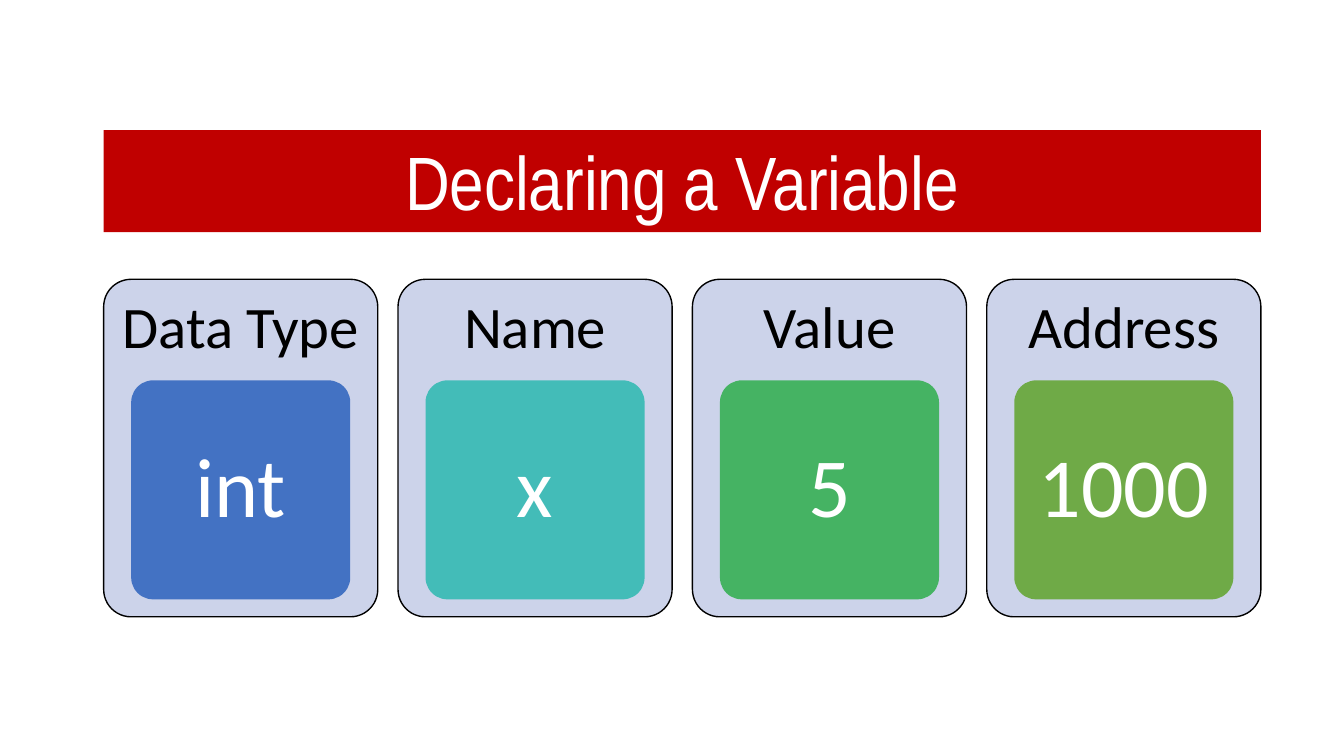
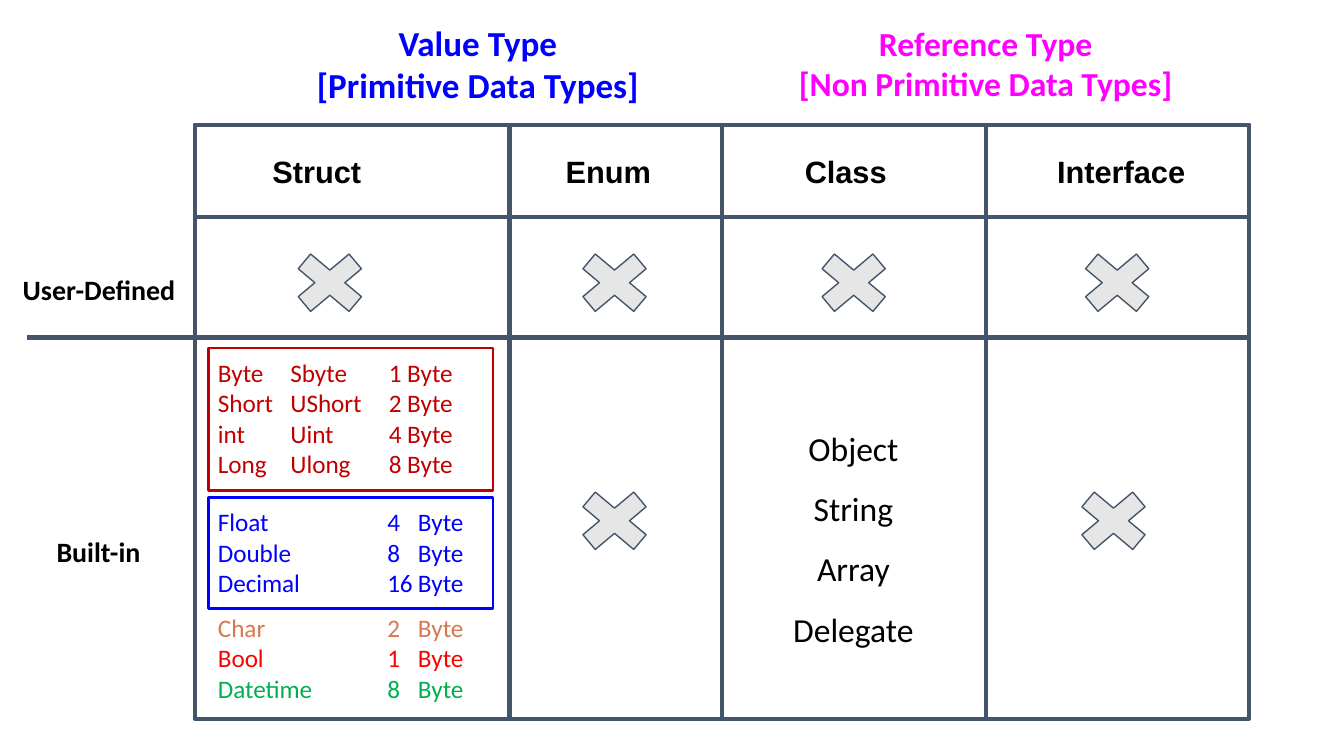
from lxml import etree
from pptx import Presentation
from pptx import util as u
from pptx.dml.color import RGBColor
from pptx.enum import shapes, text
from pptx.oxml.ns import qn

Cm, Pt = u.Cm, u.Pt
KIND, MID = shapes.MSO_SHAPE, text.MSO_ANCHOR.MIDDLE
BODY = "Calibri"
WHITE, BLACK, SLATE = "FFFFFF", "000000", "44546A"
RED, BLUE, PINK = "C00000", "0000FF", "FF00FF"
PALE, GREY = "CCD3EA", "E7E6E6"

# Content of the variable slide
TITLE = "Declaring a Variable"
CARDS = [
    ("Data Type", "int", "4372C3"),
    ("Name", "x", "43BCB8"),
    ("Value", "5", "45B363"),
    ("Address", "1000", "6FAA47"),
]

# Content of the types slide
GROUPS = [
    (["Value Type", "[Primitive Data Types]"], 5.21, 0.23, 7.65, 18.8, BLUE),
    (["Reference Type", "[Non Primitive Data Types]"], 14.45, 0.25, 8.36, 18, PINK),
]
HEADS = ["Struct", "Enum", "Class", "Interface"]
ROWS = [("User-Defined", 0.25, 4.98, 3.28), ("Built-in", 0.89, 9.93, 1.98)]
CLASSES = ["Object", "String", "Array", "Delegate"]
WHOLE = ["Byte\tSbyte\t1 Byte", "Short\tUShort\t2 Byte",
         "int\tUint\t4 Byte", "Long\tUlong\t8 Byte"]
REAL = ["Float\t4\tByte", "Double\t8\tByte", "Decimal\t16\tByte"]
OTHER = ["Char\t2\tByte", "Bool\t1\tByte", "Datetime\t8\tByte"]
# lines, top, height, text colours, border, tab stops
SIZES = [
    (WHOLE, 6.58, 2.69, [RED] * 4, RED, (1.37, 3.23)),
    (REAL, 9.4, 2.11, [BLUE] * 3, BLUE, (3.2, 3.78)),
    (OTHER, 11.4, 2.11, ["D77850", "FF0000", "00B050"], None, (3.2, 3.78)),
]
MARKS = [(5.31, 4.57), (10.69, 4.57), (15.21, 4.57), (20.19, 4.57),
         (10.69, 9.07), (20.12, 9.07)]


def rgb(code):
    return RGBColor.from_string(code)


def shape(slide, kind, box, fill=None, line=None, width=2.25, adj=None):
    s = slide.shapes.add_shape(kind, *map(Cm, box))
    s.shadow.inherit = False
    if fill:
        s.fill.solid()
        s.fill.fore_color.rgb = rgb(fill)
    else:
        s.fill.background()
    if line:
        s.line.color.rgb = rgb(line)
        s.line.width = Pt(width)
    else:
        s.line.fill.background()
    if adj is not None:
        s.adjustments[0] = adj
    return s


def rule(slide, x1, y1, x2, y2):
    c = slide.shapes.add_connector(shapes.MSO_CONNECTOR.STRAIGHT,
                                   *map(Cm, (x1, y1, x2, y2)))
    c.line.color.rgb = rgb(SLATE)
    c.line.width = Pt(2.25)
    etree.SubElement(c._element.spPr, qn("a:effectLst"))


def write(s, lines, size, color, font=BODY, bold=False, center=True,
          anchor=text.MSO_ANCHOR.TOP, space=None, tabs=(), pad=(0.18, 0.18)):
    """Fill a shape; color is one hex string or one per line."""
    tf = s.text_frame
    tf.word_wrap = True
    tf.vertical_anchor = anchor
    tf.margin_left, tf.margin_top = map(Cm, pad)
    tf.margin_right, tf.margin_bottom = Cm(min(pad[0], 0.18)), Cm(pad[1])
    colors = [color] * len(lines) if isinstance(color, str) else color
    for i, (line, tint) in enumerate(zip(lines, colors)):
        p = tf.paragraphs[0] if i == 0 else tf.add_paragraph()
        p.text = line
        p.alignment = text.PP_ALIGN.CENTER if center else text.PP_ALIGN.LEFT
        if space:
            p.line_spacing = space
        if tabs:
            stops = etree.SubElement(p._p.get_or_add_pPr(), qn("a:tabLst"))
            for x in tabs:
                etree.SubElement(stops, qn("a:tab"), pos=str(Cm(x)), algn="l")
        f = p.font
        f.name, f.size, f.bold = font, Pt(size), bold
        f.color.rgb = rgb(tint)


def label(slide, box, lines, size, color, **look):
    write(slide.shapes.add_textbox(*map(Cm, box)), lines, size, color, **look)


def variable(slide):
    left, wide, card, tile = 1.96, 21.87, 5.18, 4.14
    banner = shape(slide, KIND.RECTANGLE, (left, 2.46, wide, 1.93), RED)
    write(banner, [TITLE], 40.5, WHITE, font="Arial Narrow", pad=(0.18, 0.1))

    # Cards spread evenly under the banner
    step = (wide - card) / (len(CARDS) - 1)
    for i, (head, value, fill) in enumerate(CARDS):
        x = left + i * step
        shape(slide, KIND.ROUNDED_RECTANGLE, (x, 5.28, card, 6.38),
              PALE, BLACK, 0.75, 0.1)
        label(slide, (x, 5.28, card, 1.91), [head], 31.5, BLACK,
              anchor=MID, space=0.9)
        s = shape(slide, KIND.ROUNDED_RECTANGLE,
                  (x + (card - tile) / 2, 7.19, tile, tile), fill, adj=0.1)
        write(s, [value], 45, WHITE, anchor=MID, space=0.9)


def types(slide):
    left, top, half, high = 3.68, 2.36, 9.96, 11.23
    right = left + 2 * half

    # Grid
    for x, split in ((left, 9.63), (left + half, 18.64)):
        shape(slide, KIND.RECTANGLE, (x, top, half, high), WHITE, SLATE)
        rule(slide, split, top, split, top + high)
    head = shape(slide, KIND.RECTANGLE, (left, top, 2 * half, 1.75), None, SLATE)
    write(head, ["\t".join(HEADS)], 16.5, BLACK, font="Arial", bold=True,
          center=False, anchor=MID, tabs=(5.54, 10.06, 14.83), pad=(1.47, 0.18))
    rule(slide, right, 6.38, 0.51, 6.38)

    # Group and row labels
    for lines, x, y, wide, size, color in GROUPS:
        label(slide, (x, y, wide, 1.96), lines, size, color, bold=True)
    for name, x, y, wide in ROWS:
        label(slide, (x, y, wide, 1.02), [name], 15, BLACK, bold=True, center=False)

    # Cell contents
    for lines, y, tall, colors, line, tabs in SIZES:
        s = shape(slide, KIND.RECTANGLE, (3.94, y, 5.38, tall), None, line, 1.5)
        write(s, lines, 13.5, colors, center=False, tabs=tabs)
    label(slide, (13.87, 7.52, 4.52, 5), CLASSES, 18, BLACK, space=1.5)
    for x, y in MARKS:
        shape(slide, KIND.MATH_MULTIPLY, (x, y, 1.85, 1.55), GREY, SLATE, 0.75, 0.235)


def main():
    deck = Presentation()
    deck.slide_width, deck.slide_height = Cm(25.4), Cm(14.29)
    for draw in (variable, types):
        draw(deck.slides.add_slide(deck.slide_layouts[6]))
    deck.save("out.pptx")


if __name__ == "__main__":
    main()
